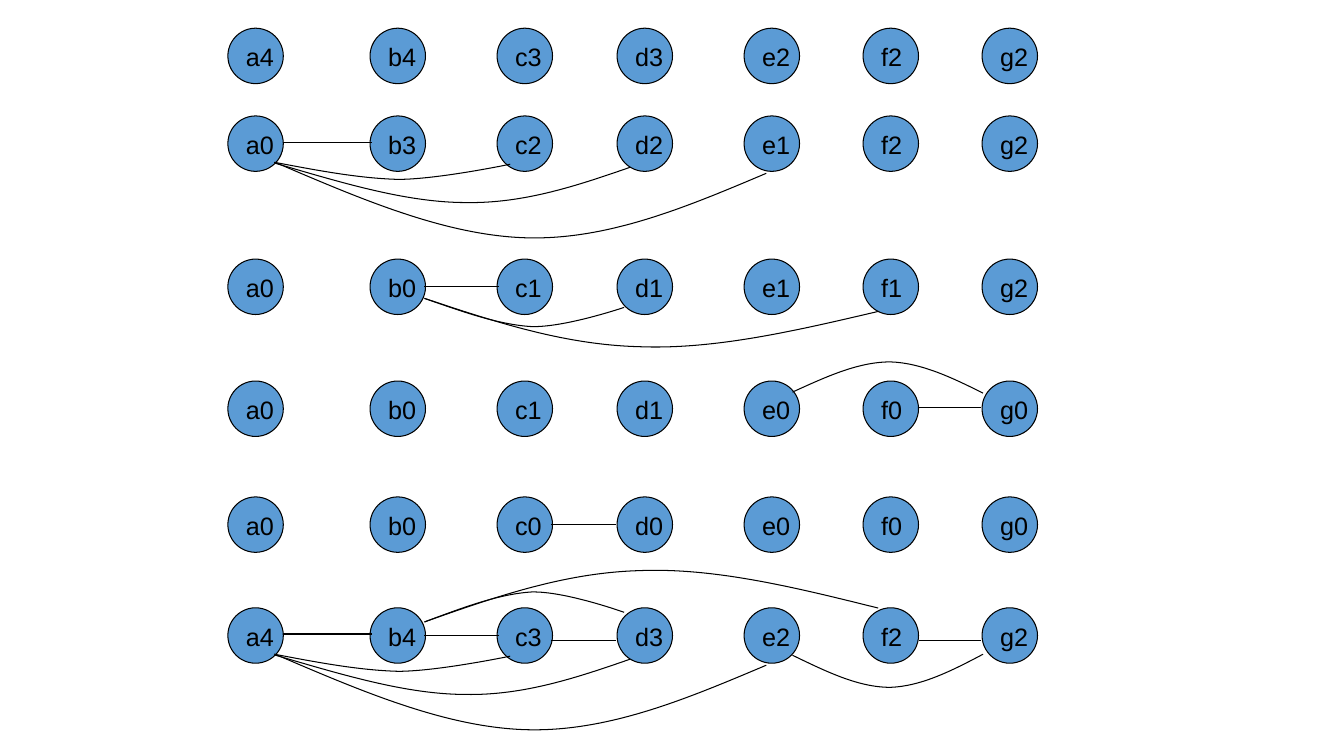
from lxml import etree
from pptx import Presentation
from pptx import util as u
from pptx.dml.color import RGBColor
from pptx.enum import shapes, text
from pptx.oxml.ns import qn

NODE_SIZE = 0.55
NODE_LEFTS = [2.26, 3.67, 4.93, 6.12, 7.38, 8.56, 9.74]
ROWS = [
    (0.28, "a4 b4 c3 d3 e2 f2 g2"),
    (1.15, "a0 b3 c2 d2 e1 f2 g2"),
    (2.57, "a0 b0 c1 d1 e1 f1 g2"),
    (3.78, "a0 b0 c1 d1 e0 f0 g0"),
    (4.93, "a0 b0 c0 d0 e0 f0 g0"),
    (6.03, "a4 b4 c3 d3 e2 f2 g2"),
]
LINK_SPANS = {"ab": (2.81, 3.69), "bc": (4.21, 4.95), "cd": (5.47, 6.11), "fg": (9.12, 9.73)}
LINKS = [("ab", 1.41), ("bc", 2.84), ("fg", 4.04), ("cd", 5.2),
         ("ab", 6.29), ("bc", 6.3), ("fg", 6.35), ("cd", 6.35)]
FANS = {
    "a": [
        [(2.72, 0), (3.14, 0.08), (3.56, 0.16), (3.95, 0.17), (4.34, 0.17), (5.06, 0.02), (5.06, 0.02)],
        [(2.73, 0.01), (3.38, 0.2), (4.03, 0.4), (4.62, 0.4), (5.2, 0.41), (5.73, 0.23), (6.25, 0.05)],
        [(2.75, 0.01), (3.59, 0.37), (4.43, 0.73), (5.23, 0.75), (6.04, 0.77), (6.82, 0.44), (7.6, 0.11)],
    ],
    "b": [
        [(4.21, 0), (4.58, 0.13), (4.94, 0.26), (5.27, 0.28), (5.6, 0.29), (6.19, 0.09), (6.19, 0.09)],
        [(4.21, 0), (4.9, 0.23), (5.59, 0.46), (6.34, 0.48), (7.09, 0.51), (7.9, 0.32), (8.71, 0.13)],
    ],
    "e": [
        [(9.75, 0), (9.45, -0.15), (9.14, -0.3), (8.83, -0.31), (8.51, -0.31), (8.19, -0.16), (7.86, -0.01)],
    ],
}
FAN_PLACES = [("a", 1.61, 1), ("b", 2.96, 1), ("e", 3.9, 1),
              ("a", 6.49, 1), ("b", 6.17, -1.06), ("e", 6.49, -1.06)]


def color(value):
    return RGBColor.from_string(value)


def outline(shape):
    shape.line.color.rgb = color("000000")
    shape.line.width = u.Pt(0.75)


def add_node(group, left, top, label):
    sp = group.shapes.add_shape(shapes.MSO_SHAPE.OVAL, u.Inches(left), u.Inches(top),
                                u.Inches(NODE_SIZE), u.Inches(NODE_SIZE))
    sp.shadow.inherit = False
    sp.fill.solid()
    sp.fill.fore_color.rgb = color("5B9BD5")
    outline(sp)
    tf = sp.text_frame
    tf.word_wrap = False
    tf.vertical_anchor = text.MSO_ANCHOR.TOP
    p = tf.paragraphs[0]
    p.text = label
    p.alignment = text.PP_ALIGN.LEFT
    p.font.name = "Arial"
    p.font.size = u.Pt(18)
    p.font.color.rgb = color("000000")


def add_row(s, top, labels):
    group = s.shapes.add_group_shape()
    for left, label in zip(NODE_LEFTS, labels.split()):
        add_node(group, left, top, label)


def add_link(s, span, y):
    start, end = span
    link = s.shapes.add_connector(shapes.MSO_CONNECTOR.STRAIGHT, u.Inches(start), u.Inches(y),
                                  u.Inches(end), u.Inches(y))
    outline(link)
    etree.SubElement(link.element.spPr, qn("a:effectLst"))


def add_curve(s, points):
    start, *rest = [(u.Inches(x), u.Inches(y)) for x, y in points]
    builder = s.shapes.build_freeform(*start)
    builder.add_line_segments(rest, close=False)
    sp = builder.convert_to_shape()
    sp.shadow.inherit = False
    sp.fill.background()
    outline(sp)
    geometry = sp.element.xpath(".//a:path")[0]
    segments = geometry.findall(qn("a:lnTo"))
    for i in range(0, len(segments), 3):
        bezier = etree.SubElement(geometry, qn("a:cubicBezTo"))
        for segment in segments[i:i + 3]:
            bezier.append(segment[0])
            geometry.remove(segment)


def add_fan(s, curves, y, stretch):
    for curve in curves:
        add_curve(s, [(x, y + stretch * dy) for x, dy in curve])


prs = Presentation()
prs.slide_width = u.Inches(13.33)
prs.slide_height = u.Inches(7.5)
s = prs.slides.add_slide(prs.slide_layouts[6])
for top, labels in ROWS:
    add_row(s, top, labels)
for pair, y in LINKS:
    add_link(s, LINK_SPANS[pair], y)
for node, y, stretch in FAN_PLACES:
    add_fan(s, FANS[node], y, stretch)
prs.save("out.pptx")
